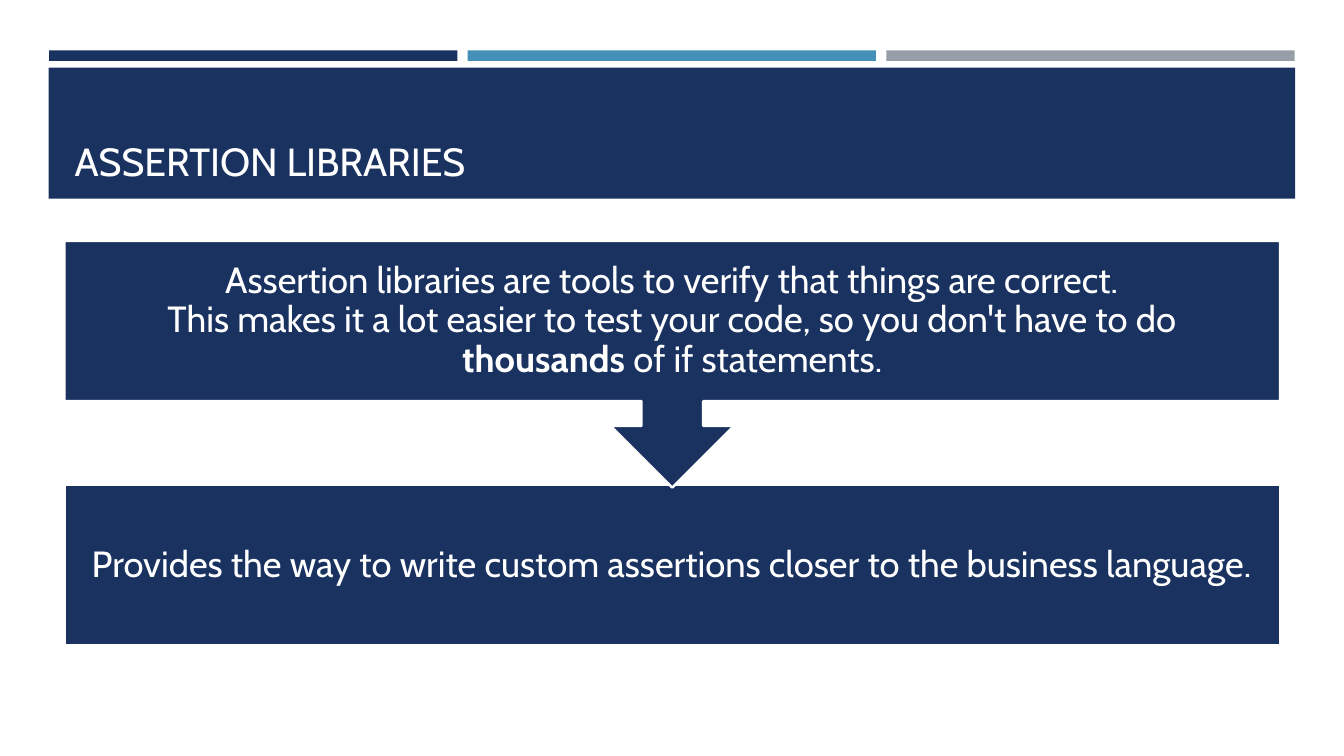
from pptx import Presentation
from pptx.dml.color import RGBColor
from pptx.enum.shapes import MSO_SHAPE
from pptx.enum.text import MSO_ANCHOR, MSO_AUTO_SIZE, PP_ALIGN
from pptx.util import Pt

COLORS = {"navy": "1A3260", "blue": "4590B8", "gray": "969FA7", "white": "FFFFFF"}


class SlideBuilder:
    """Holds the text style and the slide being built."""

    def __init__(self, page, font):
        self.page = page
        self.font = font

    def color(self, name):
        """Return a named color."""
        return RGBColor.from_string(COLORS[name])

    def block(self, kind, left, top, width, height, fill, outline=None):
        """Add a filled shape, outlined in white if a width is given."""
        shape = self.page.shapes.add_shape(kind, Pt(left), Pt(top), Pt(width), Pt(height))
        shape.shadow.inherit = False
        shape.fill.solid()
        shape.fill.fore_color.rgb = self.color(fill)
        if outline:
            shape.line.color.rgb = self.color("white")
            shape.line.width = Pt(outline)
        else:
            shape.line.fill.background()
        return shape

    def span(self, para, text, size, bold=False):
        """Add one run of white text."""
        span = para.add_run()
        span.text = text
        span.font.name = self.font
        span.font.size = Pt(size)
        span.font.bold = bold
        span.font.color.rgb = self.color("white")

    def title(self, text, left, top, width, height):
        """Place and fill the title placeholder."""
        box = self.page.shapes.title
        box.left, box.top, box.width, box.height = Pt(left), Pt(top), Pt(width), Pt(height)
        frame = box.text_frame
        frame.word_wrap = True
        frame.auto_size = MSO_AUTO_SIZE.NONE
        frame.vertical_anchor = MSO_ANCHOR.BOTTOM
        para = frame.paragraphs[0]
        para.alignment = PP_ALIGN.LEFT
        self.span(para, text, 28)

    def statement(self, kind, top, height, lines):
        """Add a content block with centered lines of (text, bold) runs."""
        shape = self.block(kind, 46.1, top, 868.3, height, "navy", 1.75)
        frame = shape.text_frame
        frame.word_wrap = True
        frame.vertical_anchor = MSO_ANCHOR.MIDDLE
        frame.margin_left = frame.margin_right = Pt(14.4)
        frame.margin_top = frame.margin_bottom = Pt(14.4)
        para = frame.paragraphs[0]
        para.alignment = PP_ALIGN.CENTER
        para.line_spacing = 0.9
        for index, line in enumerate(lines):
            if index:
                para.add_line_break()
            for text, bold in line:
                self.span(para, text, 26, bold)


def main():
    """Build and save the deck."""
    deck = Presentation()
    deck.slide_width, deck.slide_height = Pt(960), Pt(540)
    page = deck.slides.add_slide(deck.slide_layouts[5])
    builder = SlideBuilder(page, "Cabin")

    for index, fill in enumerate(("navy", "blue", "gray")):
        builder.block(MSO_SHAPE.RECTANGLE, 35.1 + index * 299, 36, 291.6, 7.5, fill)
    banner = builder.block(MSO_SHAPE.RECTANGLE, 34.8, 48.4, 890.4, 93.6, "navy")
    page.shapes.title.element.addprevious(banner.element)
    builder.title("ASSERTION LIBRARIES", 46.1, 55.4, 868.3, 79.9)

    builder.statement(MSO_SHAPE.RECTANGLE, 346.5, 114.5, [
        [("Provides the way to write custom assertions closer to the business language.", False)],
    ])
    builder.statement(MSO_SHAPE.DOWN_ARROW_CALLOUT, 172.1, 176.2, [
        [("Assertion libraries are tools to verify that things are correct.", False)],
        [("This makes it a lot easier to test your code, so you don't have to do ", False),
         ("thousands ", True),
         ("of if statements.", False)],
    ])
    deck.save("out.pptx")


if __name__ == "__main__":
    main()
